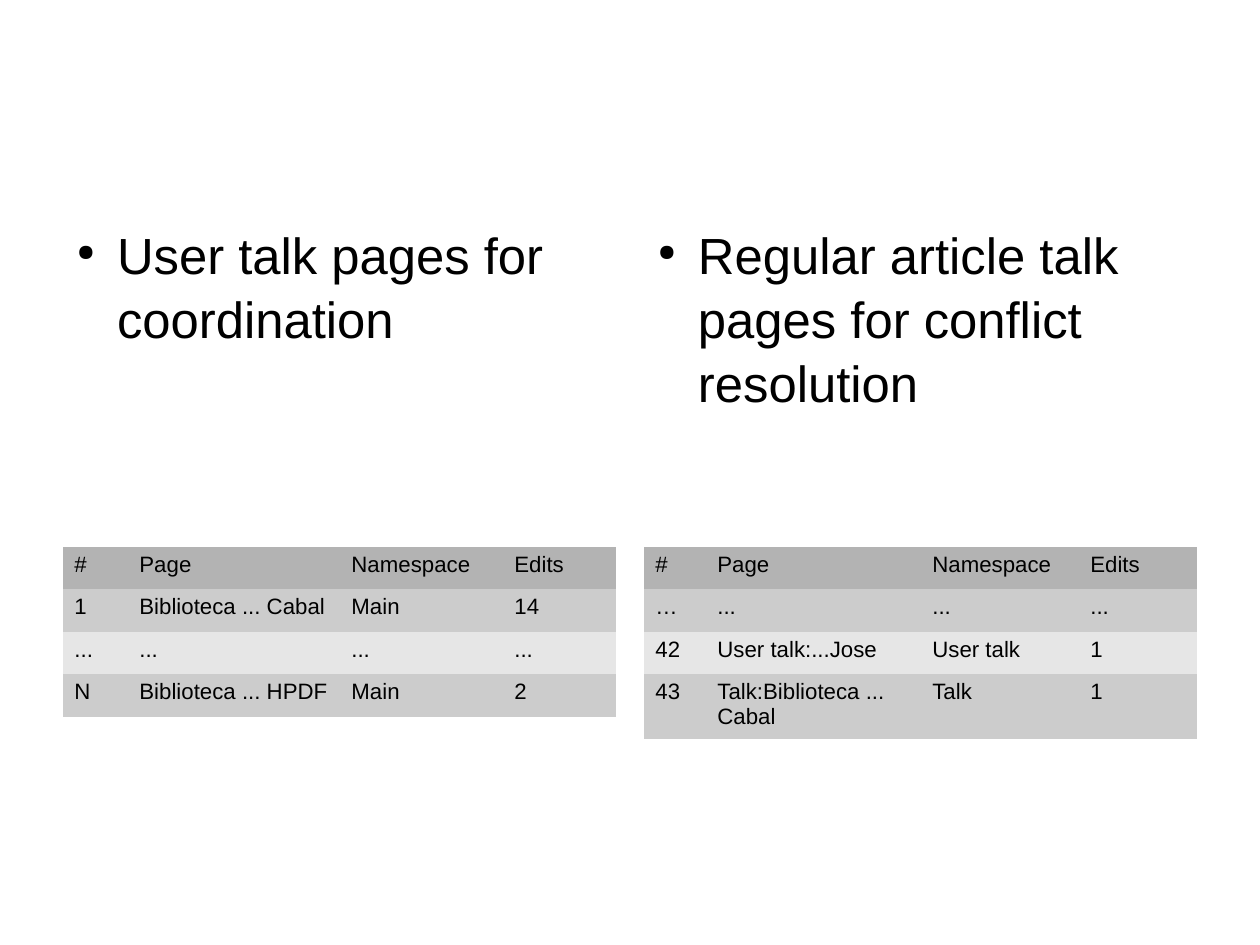
import pptx
import pptx.util
import pptx.dml.color
import lxml.etree
from pptx.oxml.ns import qn

# Content: one column per talk-page type
HEADER = ("#", "Page", "Namespace", "Edits")
COLUMNS = [
    {
        "left": 63,
        "bullet": "User talk pages for coordination",
        "widths": (65, 212, 163, 113),
        "heights": (42, 43, 42, 43),
        "rows": [
            HEADER,
            ("1", "Biblioteca ... Cabal", "Main", "14"),
            ("...", "...", "...", "..."),
            ("N", "Biblioteca ... HPDF", "Main", "2"),
        ],
    },
    {
        "left": 644,
        "bullet": "Regular article talk pages for conflict resolution",
        "widths": (62, 215, 158, 118),
        "heights": (42, 43, 42, 62),
        "rows": [
            HEADER,
            ("…", "...", "...", "..."),
            ("42", "User talk:...Jose", "User talk", "1"),
            ("43", "Talk:Biblioteca ... Cabal", "Talk", "1"),
        ],
    },
]
COLORS = {"text": "000000", "header": "B3B3B3", "odd": "CCCCCC", "even": "E6E6E6"}
FONT = "Arial"
BULLET_TOP, BULLET_HEIGHT, TABLE_TOP = 221, 297, 547
INDENT, HANGING = 54, 40


def px(n):
    return pptx.util.Emu(n * 8000)


def rgb(name):
    return pptx.dml.color.RGBColor.from_string(COLORS[name])


def style(p, size):
    for r in p.runs:
        r.font.name = FONT
        r.font.size = pptx.util.Pt(size)
        r.font.color.rgb = rgb("text")


def add_bullet(s, text, left, width):
    sp = s.shapes.add_textbox(px(left), px(BULLET_TOP), px(width), px(BULLET_HEIGHT))
    tf = sp.text_frame
    tf.word_wrap = True
    tf.margin_left = tf.margin_right = tf.margin_top = tf.margin_bottom = 0
    p = tf.paragraphs[0]
    p.text = text
    p.line_spacing = 1.05
    p.space_after = pptx.util.Pt(14.2)
    pPr = p._p.get_or_add_pPr()
    pPr.set("marL", str(px(INDENT)))
    pPr.set("indent", str(-px(HANGING)))
    color = lxml.etree.SubElement(pPr, qn("a:buClr"))
    lxml.etree.SubElement(color, qn("a:srgbClr"), val=COLORS["text"])
    lxml.etree.SubElement(pPr, qn("a:buSzPct"), val="45000")
    lxml.etree.SubElement(pPr, qn("a:buChar"), char="●")
    style(p, 32)


def add_table(s, rows, left, widths, heights):
    table = s.shapes.add_table(len(rows), len(widths), px(left), px(TABLE_TOP),
                               px(sum(widths)), px(sum(heights))).table
    # Plain grid without the banded style's borders and bold header
    table.first_row = table.horz_banding = False
    style_id = table._tbl.tblPr.find(qn("a:tableStyleId"))
    style_id.text = "{2D5ABB26-0587-4C30-8999-92F81FD0307C}"
    for column, width in zip(table.columns, widths):
        column.width = px(width)
    for i, (row, height) in enumerate(zip(rows, heights)):
        table.rows[i].height = px(height)
        fill = "header" if i == 0 else "odd" if i % 2 else "even"
        for j, text in enumerate(row):
            cell = table.cell(i, j)
            cell.fill.solid()
            cell.fill.fore_color.rgb = rgb(fill)
            cell.text_frame.text = text
            style(cell.text_frame.paragraphs[0], 14)


def main():
    prs = pptx.Presentation()
    prs.slide_width, prs.slide_height = px(1260), px(945)
    s = prs.slides.add_slide(prs.slide_layouts[6])
    for c in COLUMNS:
        add_bullet(s, c["bullet"], c["left"], sum(c["widths"]))
        add_table(s, c["rows"], c["left"], c["widths"], c["heights"])
    prs.save("out.pptx")


if __name__ == "__main__":
    main()
